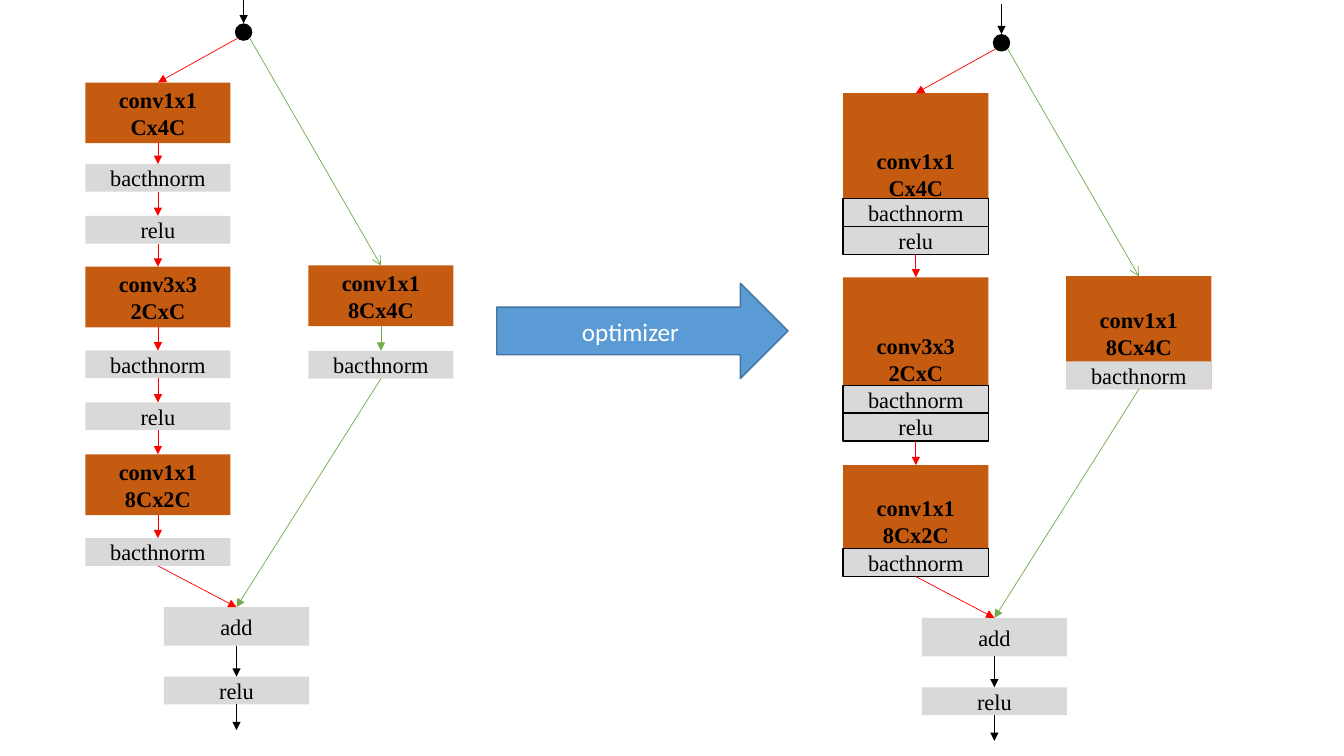
from lxml import etree
from pptx import Presentation
from pptx.dml.color import RGBColor
from pptx.enum.shapes import MSO_CONNECTOR, MSO_SHAPE
from pptx.enum.text import MSO_ANCHOR, PP_ALIGN
from pptx.oxml.ns import qn
from pptx.util import Cm, Pt

COLORS = {
    "conv": "C55A11", "op": "D9D9D9", "ink": "000000", "main": "FF0000",
    "shortcut": "70AD47", "arrow": "5B9BD5", "arrow_edge": "43739E", "white": "FFFFFF",
}
SERIF = "Times New Roman"

# Lengths in centimetres
NODE_W, CONV_H, OP_H, ADD_H = 3.66, 1.53, 0.7, 0.97
DOT_X, DOT_Y, DOT_R = 3.99, 0.81, 0.22
BRANCH_X, MERGE_X = 5.62, 1.98
ADD_Y, LAST_RELU_Y = 15.3, 17.05
ENTRY_LEN, EXIT_LEN = 0.76, 0.65

# Convolution lines, top, then each following operation with its top
MAIN_PATH = [
    (["conv1x1", "Cx4C"], 2.08, [("bacthnorm", 4.13), ("relu", 5.44)]),
    (["conv3x3", "2CxC"], 6.72, [("bacthnorm", 8.83), ("relu", 10.14)]),
    (["conv1x1", "8Cx2C"], 11.45, [("bacthnorm", 13.56)]),
]
SHORTCUT = (["conv1x1", "8Cx4C"], 6.69, [("bacthnorm", 8.84)])


def color(name):
    return RGBColor.from_string(COLORS[name])


def draw_shape(slide, kind, box, fill, edge=None):
    shape = slide.shapes.add_shape(kind, *(Cm(v) for v in box))
    shape.shadow.inherit = False
    shape.fill.solid()
    shape.fill.fore_color.rgb = color(fill)
    if edge:
        shape.line.color.rgb = color(edge)
        shape.line.width = Pt(1)
    else:
        shape.line.fill.background()
    return shape


def write(shape, lines, size=16, font=SERIF, ink="ink", bold=False):
    frame = shape.text_frame
    frame.word_wrap = True
    frame.vertical_anchor = MSO_ANCHOR.MIDDLE
    frame.margin_top = frame.margin_bottom = 0
    for i, line in enumerate(lines):
        paragraph = frame.add_paragraph() if i else frame.paragraphs[0]
        paragraph.alignment = PP_ALIGN.CENTER
        run = paragraph.add_run()
        run.text = line
        run.font.size = Pt(size)
        run.font.name = font
        run.font.bold = bold
        run.font.color.rgb = color(ink)


def draw_node(slide, x, y, height, lines, fill="op", edge=None):
    node = draw_shape(slide, MSO_SHAPE.RECTANGLE, (x, y, NODE_W, height), fill, edge)
    write(node, lines, bold=fill == "conv")
    return node


def link(slide, start, end, ink, head="triangle"):
    """Arrow from a node's bottom or a point to a node's top or a point."""
    points = [p if isinstance(p, tuple) else (0, 0) for p in (start, end)]
    arrow = slide.shapes.add_connector(
        MSO_CONNECTOR.STRAIGHT, *(Cm(v) for point in points for v in point))
    if not isinstance(start, tuple):
        arrow.begin_connect(start, 2)
    if not isinstance(end, tuple):
        arrow.end_connect(end, 0)
    arrow.line.color.rgb = color(ink)
    arrow.line.width = Pt(0.5)
    line = arrow.line._get_or_add_ln()
    etree.SubElement(line, qn("a:tailEnd"), type=head)
    etree.SubElement(arrow._element.spPr, qn("a:effectLst"))


def draw_block(slide, x, y, block, ink, fused, edge):
    """Draw a convolution and its operations; return the first and last node."""
    lines, top, ops = block
    bottom = ops[-1][1] + OP_H
    height = bottom - top if fused else CONV_H
    first = last = draw_node(slide, x, y + top, height, lines, "conv")
    for i, (name, op_top) in enumerate(ops):
        if fused:
            op_top = bottom - (len(ops) - i) * OP_H
        op = draw_node(slide, x, y + op_top, OP_H, [name], edge=edge if fused else None)
        if not fused:
            link(slide, last, op, ink)
        last = op
    return first, last


def draw_network(slide, x, y, fused):
    """Residual block, with its operations separate or fused."""
    dot_x, dot_y = x + DOT_X, y + DOT_Y
    draw_shape(slide, MSO_SHAPE.OVAL,
               (dot_x - DOT_R, dot_y - DOT_R, 2 * DOT_R, 2 * DOT_R), "ink")
    entry_end = dot_y - DOT_R
    link(slide, (dot_x, max(0, entry_end - ENTRY_LEN)), (dot_x, entry_end), "ink")

    add = draw_node(slide, x + MERGE_X, y + ADD_Y, ADD_H, ["add"])
    relu = draw_node(slide, x + MERGE_X, y + LAST_RELU_Y, OP_H, ["relu"])
    link(slide, add, relu, "ink")
    exit_x, exit_y = x + MERGE_X + NODE_W / 2, y + LAST_RELU_Y + OP_H
    link(slide, relu, (exit_x, exit_y + EXIT_LEN), "ink")

    reach = DOT_R * 0.71
    previous = (dot_x - reach, dot_y + reach)
    for block in MAIN_PATH:
        first, last = draw_block(slide, x, y, block, "main", fused, "ink")
        link(slide, previous, first, "main")
        previous = last
    link(slide, previous, add, "main")

    first, last = draw_block(slide, x + BRANCH_X, y, SHORTCUT, "shortcut", fused, None)
    link(slide, (dot_x + reach, dot_y + reach), first, "shortcut", "arrow")
    link(slide, last, add, "shortcut")


def draw_conversion(slide, box):
    conversion = draw_shape(slide, MSO_SHAPE.RIGHT_ARROW, box, "arrow", "arrow_edge")
    write(conversion, ["optimizer"], 18, "Calibri", "white")


def main():
    deck = Presentation()
    deck.slide_width, deck.slide_height = Cm(33.87), Cm(19.05)
    slide = deck.slides.add_slide(deck.slide_layouts[6])
    draw_network(slide, 2.15, 0, fused=False)
    draw_conversion(slide, (12.52, 7.14, 7.34, 2.4))
    draw_network(slide, 21.25, 0.27, fused=True)
    deck.save("out.pptx")


if __name__ == "__main__":
    main()
